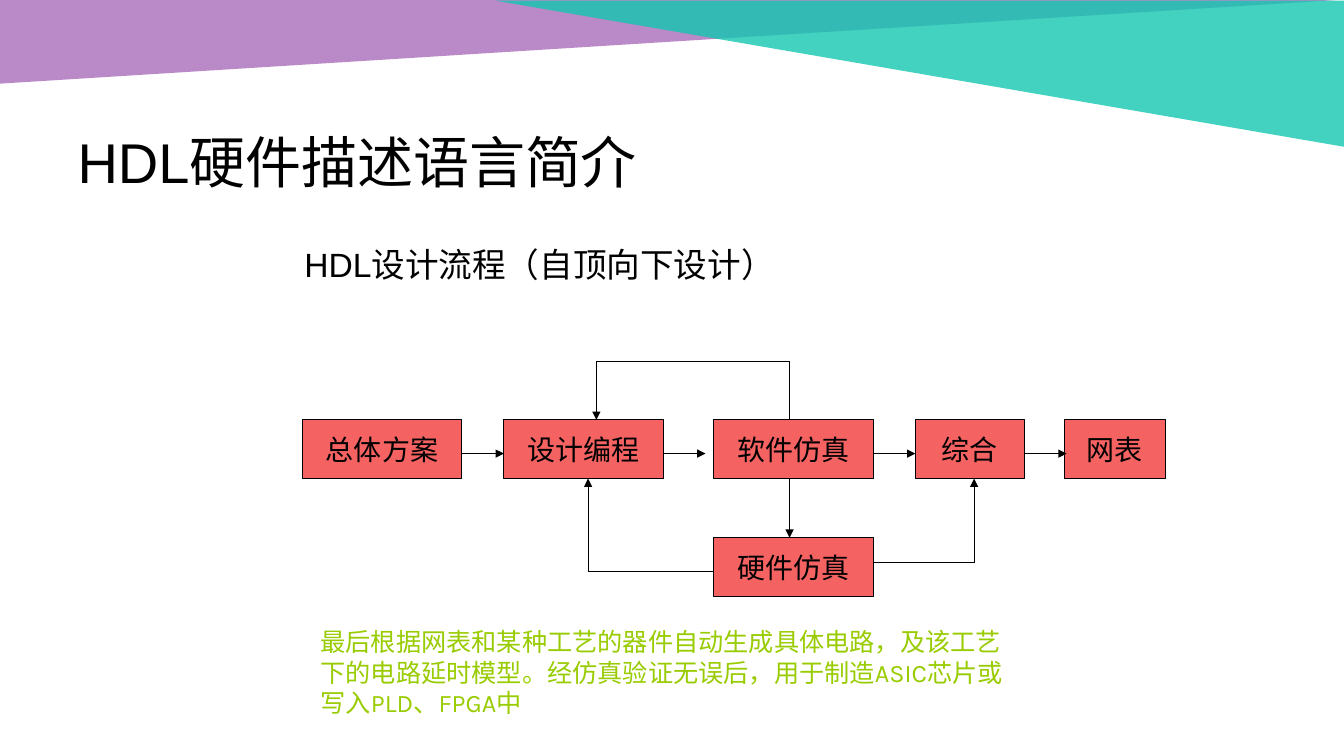
from itertools import pairwise

from lxml.etree import SubElement
from pptx import Presentation
from pptx.dml.color import RGBColor
from pptx.enum.shapes import MSO_CONNECTOR, MSO_SHAPE
from pptx.enum.text import MSO_ANCHOR, PP_ALIGN
from pptx.oxml.ns import qn
from pptx.util import Cm, Pt

BLACK = "000000"
BOX_HEIGHT = 1.48
MAIN_TOP = 10.58
MAIN_BOTTOM = MAIN_TOP + BOX_HEIGHT
HARDWARE_TOP = 13.55
ARROW_Y = 11.43
ARROW_LENGTH = 1.06
SIMULATION_X = 19.9

# Label, left and width of each step in the main row
MAIN_STEPS = [
    ("总体方案", 7.62, 4.02),
    ("设计编程", 12.7, 4.02),
    ("软件仿真", 17.99, 4.02),
    ("综合", 23.07, 2.75),
    ("网表", 26.83, 2.54),
]

# Corner points of each route; the arrowhead sits at the last one
ROUTES = [
    [(SIMULATION_X, MAIN_BOTTOM), (SIMULATION_X, HARDWARE_TOP)],
    [(22.01, 14.18), (24.55, 14.18), (24.55, MAIN_BOTTOM)],
    [(17.99, 14.39), (14.82, 14.39), (14.82, MAIN_BOTTOM)],
    [(SIMULATION_X, MAIN_TOP), (SIMULATION_X, 9.1), (15.03, 9.1), (15.03, MAIN_TOP)],
]


def color(value):
    return RGBColor.from_string(value)


def style_paragraph(paragraph, text, size, font, fill=BLACK, align=None):
    paragraph.text = text
    paragraph.alignment = align
    paragraph.font.size = Pt(size)
    paragraph.font.name = font
    paragraph.font.color.rgb = color(fill)


def add_filled(page, preset, left, top, width, height, fill):
    shape = page.shapes.add_shape(preset, Cm(left), Cm(top), Cm(width), Cm(height))
    shape.shadow.inherit = False
    shape.fill.solid()
    shape.fill.fore_color.rgb = color(fill)
    return shape


def add_corner(page, left, top, width, height, fill, flips):
    """Add a translucent header triangle, mirrored along the given axes."""
    corner = add_filled(page, MSO_SHAPE.RIGHT_TRIANGLE, left, top, width, height, fill)
    corner.line.fill.background()
    for flip in flips:
        corner._element.spPr.xfrm.set(flip, "1")
    tint = corner._element.spPr.find(qn("a:solidFill"))[0]
    SubElement(tint, qn("a:alpha"), val="80000")


def add_step(page, label, left, top, width):
    step = add_filled(page, MSO_SHAPE.RECTANGLE, left, top, width, BOX_HEIGHT, "F56262")
    step.line.color.rgb = color(BLACK)
    step.line.width = Pt(0.75)
    step.text_frame.word_wrap = False
    step.text_frame.vertical_anchor = MSO_ANCHOR.MIDDLE
    style_paragraph(step.text_frame.paragraphs[0], label, 20, "Karla", align=PP_ALIGN.CENTER)


def add_route(page, points):
    """Join the points with straight lines and put an arrowhead on the last."""
    for start, end in pairwise(points):
        line = page.shapes.add_connector(
            MSO_CONNECTOR.STRAIGHT, *(Cm(value) for value in start + end))
        line.line.color.rgb = color(BLACK)
        line.line.width = Pt(0.75)
        SubElement(line._element.spPr, qn("a:effectLst"))
    SubElement(line.line._get_or_add_ln(), qn("a:tailEnd"), type="triangle")


def add_text(page, left, top, width, height):
    box = page.shapes.add_textbox(Cm(left), Cm(top), Cm(width), Cm(height))
    box.text_frame.word_wrap = True
    return box.text_frame.paragraphs[0]


def set_title(page, text):
    title = page.shapes.title
    title.left, title.top, title.width, title.height = Cm(1.7), Cm(2.92), Cm(30.48), Cm(2.11)
    title.text_frame.vertical_anchor = MSO_ANCHOR.BOTTOM
    style_paragraph(title.text_frame.paragraphs[0], text, 40, "Arial", align=PP_ALIGN.JUSTIFY)


def main():
    deck = Presentation()
    deck.slide_width, deck.slide_height = Cm(33.87), Cm(19.05)
    page = deck.slides.add_slide(deck.slide_layouts[5])

    add_corner(page, 0, 0, 33.73, 2.11, "A86CBB", ["flipV"])
    add_corner(page, 12.5, 0.02, 21.37, 3.68, "13C7AF", ["flipH", "flipV"])
    set_title(page, "HDL硬件描述语言简介")

    heading = add_text(page, 7.42, 5.72, 21.59, 1.8)
    style_paragraph(heading, "HDL设计流程（自顶向下设计）", 24, "Arial", align=PP_ALIGN.JUSTIFY)
    heading.line_spacing = 1.3

    for label, left, width in MAIN_STEPS:
        add_step(page, label, left, MAIN_TOP, width)
    add_step(page, "硬件仿真", 17.99, HARDWARE_TOP, 4.02)

    for _, left, width in MAIN_STEPS[:-1]:
        right = left + width
        add_route(page, [(right, ARROW_Y), (right + ARROW_LENGTH, ARROW_Y)])
    for points in ROUTES:
        add_route(page, points)

    closing = add_text(page, 7.83, 15.67, 17.98, 2.54)
    style_paragraph(
        closing,
        "最后根据网表和某种工艺的器件自动生成具体电路，及该工艺下的电路延时模型。"
        "经仿真验证无误后，用于制造ASIC芯片或写入PLD、FPGA中",
        18, "Karla", "99CC00")

    deck.save("out.pptx")


if __name__ == "__main__":
    main()
